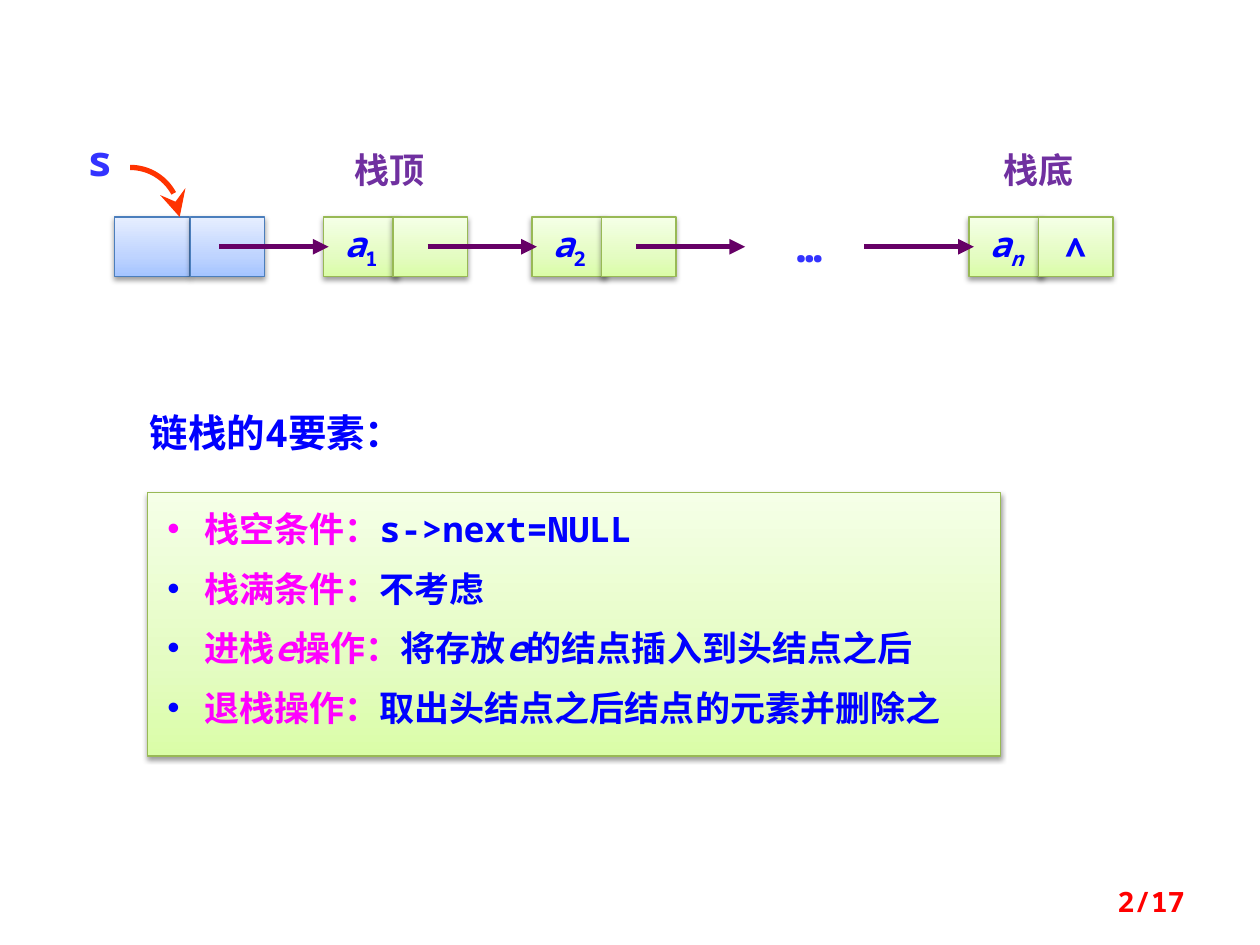
import copy
import math

from lxml import etree
from pptx import Presentation
from pptx import util as u
from pptx.dml.color import RGBColor
from pptx.enum import shapes, text
from pptx.oxml import parse_xml
from pptx.oxml.ns import nsdecls, qn

Pt = u.Pt
colour = RGBColor.from_string
FONT = "Noto Sans Mono"
BLUE, MAGENTA, VIOLET, PURPLE = "0000FF", "FF00FF", "3333FF", "7030A0"
GREEN_BOX = (["DAFDA7", "E4FCC2", "F5FFE7"], "98B955")
BLUE_BOX = (["A4C4FF", "BFD4FF", "E6EEFF"], "4B7EBC")


def write(para, size, runs):
    """Add bold runs, each (words, colour, styles): "i" is italic, "_" is subscript."""
    for words, ink, styles in runs:
        span = para.add_run()
        span.text = words
        span.font.name = FONT
        span.font.size = Pt(size)
        span.font.bold = True
        span.font.italic = "i" in styles
        span.font.color.rgb = colour(ink)
        props = span.font._element
        if "_" in styles:
            props.set("baseline", "-25000")
        etree.SubElement(props, qn("a:ea")).set("typeface", FONT)


def add_gradient_box(left, top, width, height, look):
    """Add a rectangle with a bottom-to-top gradient, a thin outline and a soft shadow."""
    stops, edge = look
    box = page.shapes.add_shape(shapes.MSO_SHAPE.RECTANGLE,
                                Pt(left), Pt(top), Pt(width), Pt(height))
    box.fill.gradient()
    box.fill.gradient_angle = 90
    stop_list = box._element.spPr.find(".//" + qn("a:gsLst"))
    stop_list.append(copy.deepcopy(stop_list[0]))
    for stop, ink, place in zip(box.fill.gradient_stops, stops, (0, 0.35, 1)):
        stop.color.rgb = colour(ink)
        stop.position = place
    box.line.color.rgb = colour(edge)
    box.line.width = Pt(0.75)
    box.shadow.inherit = False
    box._element.spPr.find(qn("a:effectLst")).append(parse_xml(
        f'<a:outerShdw {nsdecls("a")} blurRad="{Pt(3.1)}" dist="{Pt(1.6)}" '
        'dir="5400000" rotWithShape="0"><a:srgbClr val="000000">'
        '<a:alpha val="38000"/></a:srgbClr></a:outerShdw>'))
    return box


deck = Presentation()
deck.slide_width, deck.slide_height = Pt(720), Pt(540)
page = deck.slides.add_slide(deck.slide_layouts[6])

# Labels: words, left, top, width, height, size, colour, alignment
ALIGN = text.PP_ALIGN
labels = [
    ("链栈的4要素：", 78.5, 230.4, 181.5, 33.8, 22, BLUE, ALIGN.LEFT),
    ("…", 428.4, 122.4, 68.4, 36, 24, VIOLET, ALIGN.CENTER),
    ("s", 40.3, 73.4, 33.8, 36, 24, VIOLET, ALIGN.CENTER),
    ("栈顶", 182.9, 81.4, 79.2, 31.7, 20, PURPLE, ALIGN.CENTER),
    ("栈底", 553.7, 81.4, 79.2, 31.7, 20, PURPLE, ALIGN.CENTER),
    ("2/17", 516.2, 500.4, 167.8, 28.8, 16, "FF0000", ALIGN.RIGHT),
]
for words, left, top, width, height, size, ink, align in labels:
    label = page.shapes.add_textbox(Pt(left), Pt(top), Pt(width), Pt(height))
    label.text_frame.word_wrap = True
    if align == ALIGN.RIGHT:
        label.text_frame.vertical_anchor = text.MSO_ANCHOR.MIDDLE
    label.text_frame.paragraphs[0].alignment = align
    write(label.text_frame.paragraphs[0], size, [(words, ink, "")])

# The four elements of a linked stack
elements = [
    [("栈空条件：", MAGENTA, ""), ("s->next=NULL", BLUE, "")],
    [("栈满条件：", MAGENTA, ""), ("不考虑", BLUE, "")],
    [("进栈", MAGENTA, ""), ("e", MAGENTA, "i"), ("操作：", MAGENTA, ""),
     ("将存放", BLUE, ""), ("e", BLUE, "i"), ("的结点插入到头结点之后", BLUE, "")],
    [("退栈操作：", MAGENTA, ""), ("取出头结点之后结点的元素并删除之", BLUE, "")],
]
panel = add_gradient_box(84.2, 281.5, 487.5, 150.5, GREEN_BOX)
frame = panel.text_frame
frame.word_wrap = True
frame.vertical_anchor = text.MSO_ANCHOR.TOP
frame.margin_left = frame.margin_right = Pt(11.5)
frame.margin_top = frame.margin_bottom = Pt(8.6)
for index, runs in enumerate(elements):
    para = frame.add_paragraph() if index else frame.paragraphs[0]
    para.alignment = ALIGN.LEFT
    if index:
        para.space_before = Pt(10)
    props = para._p.get_or_add_pPr()
    props.set("marL", str(Pt(21)))
    props.set("indent", str(-Pt(21)))
    bullet_colour = etree.SubElement(props, qn("a:buClr"))
    etree.SubElement(bullet_colour, qn("a:srgbClr")).set("val", BLUE if index else MAGENTA)
    etree.SubElement(props, qn("a:buFont")).set("typeface", "Arial")
    etree.SubElement(props, qn("a:buChar")).set("char", "•")
    write(para, 20, runs)

# Linked list: left, distance to the next cell, look, data runs, link runs
CELL_TOP, CELL_WIDTH, CELL_HEIGHT = 124, 42.7, 34
nodes = [
    (65.5, 43.2, BLUE_BOX, [], []),
    (185, 39.6, GREEN_BOX, [("a", BLUE, "i"), ("1", BLUE, "_")], []),
    (304, 39.6, GREEN_BOX, [("a", BLUE, "i"), ("2", BLUE, "_")], []),
    (553.7, 39.6, GREEN_BOX, [("a", BLUE, "i"), ("n", BLUE, "i_")], [("∧", BLUE, "")]),
]
for left, step, look, *contents in nodes:
    for column, runs in enumerate(contents):
        cell = add_gradient_box(left + column * step, CELL_TOP, CELL_WIDTH, CELL_HEIGHT, look)
        if runs:
            cell.text_frame.word_wrap = False
            cell.text_frame.vertical_anchor = text.MSO_ANCHOR.MIDDLE
            cell.text_frame.paragraphs[0].alignment = ALIGN.CENTER
            write(cell.text_frame.paragraphs[0], 20, runs)

middle = CELL_TOP + CELL_HEIGHT / 2
for left in (125.3, 244.3, 363.3, 494):
    arrow = page.shapes.add_connector(shapes.MSO_CONNECTOR.STRAIGHT,
                                      Pt(left), Pt(middle), Pt(left + 62.5), Pt(middle))
    arrow.line.color.rgb = colour("660066")
    arrow.line.width = Pt(3)
    etree.SubElement(arrow.line._get_or_add_ln(), qn("a:tailEnd")).set("type", "triangle")
    etree.SubElement(arrow._element.spPr, qn("a:effectLst"))

# Quarter-circle pointer from s to the head node
CENTRE_X, CENTRE_Y, RADIUS, STEPS = 74.4, 124, 28.3, 24
angles = [math.pi / 2 * step / STEPS for step in range(STEPS + 1)]
points = [(Pt(CENTRE_X + RADIUS * math.sin(angle)), Pt(CENTRE_Y - RADIUS * math.cos(angle)))
          for angle in angles]
builder = page.shapes.build_freeform(*points[0])
builder.add_line_segments(points[1:], close=False)
pointer = builder.convert_to_shape()
pointer.fill.background()
pointer.line.color.rgb = colour("FF3300")
pointer.line.width = Pt(3)
pointer.shadow.inherit = False
etree.SubElement(pointer.line._get_or_add_ln(), qn("a:tailEnd"),
                 type="stealth", w="lg", len="lg")

deck.save("out.pptx")
